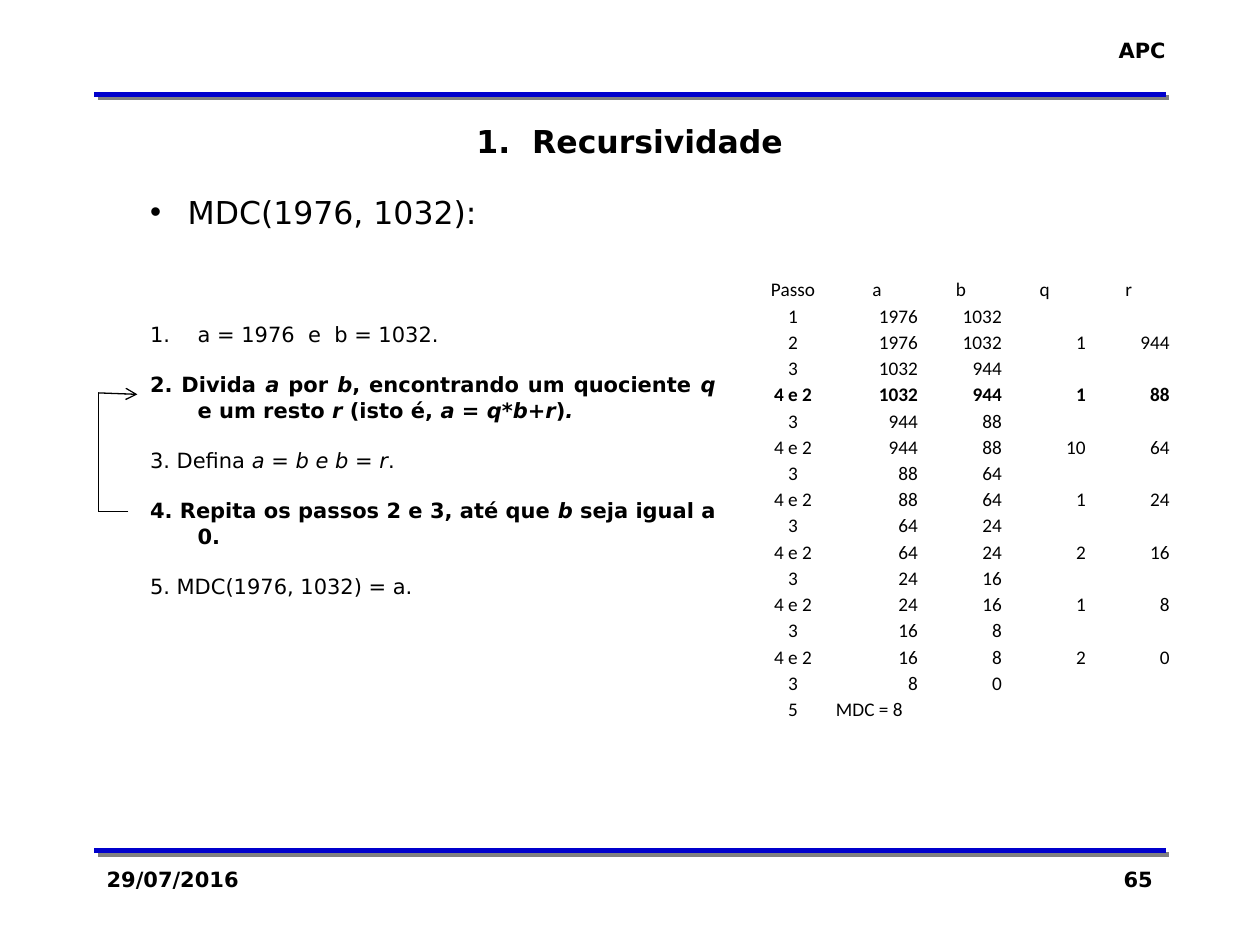
from lxml.etree import SubElement
from pptx import Presentation
from pptx.dml.color import RGBColor
from pptx.enum.shapes import MSO_CONNECTOR
from pptx.enum.text import MSO_ANCHOR, MSO_AUTO_SIZE, PP_ALIGN
from pptx.oxml.ns import qn
from pptx.util import Cm, Pt

BLACK, BLUE, GREY = "000000", "0000CC", "808080"
HEADING_FONT, TABLE_FONT = "DejaVu Sans", "Calibri"
LEFT, RIGHT = 1.9, 23.5
STEP_INDENT = 0.96

# Underscores enclose the variables set in italics.
STEPS = [
    ("a = 1976  e  b = 1032.", False),
    ("2. Divida _a_ por _b_, encontrando um quociente _q_ e um resto _r_"
     " (isto é, _a = q*b+r_)_._", True),
    ("3. Defina _a = b e b = r_.", False),
    ("4. Repita os passos 2 e 3, até que _b_ seja igual a 0.", True),
    ("5. MDC(1976, 1032) = a.", False),
]


def color(value):
    return RGBColor.from_string(value)


def format_paragraph(paragraph, size, align, bold=False, name=HEADING_FONT):
    paragraph.alignment = align
    font = paragraph.font
    font.size, font.bold, font.name = Pt(size), bold, name
    font.color.rgb = color(BLACK)


def place(shape, left, top, width, height):
    shape.left, shape.top = Cm(left), Cm(top)
    shape.width, shape.height = Cm(width), Cm(height)


def add_line(slide, start, end, line_color, width):
    """Draw a straight line without shadow and return its properties."""
    line = slide.shapes.add_connector(
        MSO_CONNECTOR.STRAIGHT, *(Cm(value) for value in start + end))
    line.line.color.rgb = color(line_color)
    line.line.width = Pt(width)
    properties = line._element.spPr
    SubElement(properties, qn("a:effectLst"))
    return properties


def add_rule(slide, y):
    properties = add_line(slide, (LEFT, y), (RIGHT, y), BLUE, 3)
    shadow = SubElement(properties.find(qn("a:effectLst")), qn("a:outerShdw"),
                        dist=str(Pt(2.8)), dir="2700000", algn="ctr", rotWithShape="0")
    SubElement(shadow, qn("a:srgbClr"), val=GREY)


def add_label(slide, text, box, align, wrap=True):
    label = slide.shapes.add_textbox(*(Cm(value) for value in box))
    label.text_frame.word_wrap = wrap
    label.text_frame.text = text
    format_paragraph(label.text_frame.paragraphs[0], 12, align, bold=True)


def fill_title(title):
    place(title, LEFT, 2.34, 21.59, 1.02)
    frame = title.text_frame
    frame.text = "1.  Recursividade"
    frame.auto_size = MSO_AUTO_SIZE.NONE
    frame.vertical_anchor = MSO_ANCHOR.TOP
    format_paragraph(frame.paragraphs[0], 18, PP_ALIGN.CENTER, bold=True)


def set_marker(paragraph, tag, indent, **attributes):
    """Give the paragraph a hanging indent in cm and a bullet element."""
    properties = paragraph._p.get_or_add_pPr()
    properties.set("marL", str(Cm(indent)))
    properties.set("indent", str(-Cm(indent)))
    SubElement(properties, qn(tag), **attributes)


def fill_steps(body):
    place(body, 2.77, 3.76, 11.91, 9.32)
    frame = body.text_frame
    frame.auto_size = MSO_AUTO_SIZE.NONE
    heading = frame.paragraphs[0]
    heading.text = "MDC(1976, 1032):"
    heading.space_before = Pt(0)
    set_marker(heading, "a:buChar", 0.76, char="•")
    format_paragraph(heading, 18, PP_ALIGN.JUSTIFY)
    for index, (text, bold) in enumerate(STEPS):
        step = frame.add_paragraph()
        step.space_before = Pt(14.4 if index else 52)
        if index == 0:
            set_marker(step, "a:buAutoNum", STEP_INDENT, type="arabicPeriod")
        else:
            set_marker(step, "a:buNone", STEP_INDENT)
        format_paragraph(step, 12, PP_ALIGN.JUSTIFY, bold)
        for position, part in enumerate(text.split("_")):
            if part:
                run = step.add_run()
                run.text = part
                if position % 2:
                    run.font.italic = True


def euclid_rows(a, b):
    """Trace the algorithm, one table row for each step."""
    rows = [("Passo", "a", "b", "q", "r"), ("1", a, b, "", "")]
    label = "2"
    while b:
        quotient, remainder = divmod(a, b)
        rows.append((label, a, b, quotient, remainder))
        a, b = b, remainder
        rows.append(("3", a, b, "", ""))
        label = "4 e 2"
    return rows + [("5", f"MDC = {a}", "", "", ""), ("",) * 5]


def cell_alignment(row, column, value):
    if row == 0 or column == 0:
        return PP_ALIGN.CENTER
    return PP_ALIGN.RIGHT if isinstance(value, int) else PP_ALIGN.LEFT


def add_trace_table(slide, rows, bold_row):
    table = slide.shapes.add_table(
        len(rows), 5, Cm(15.14), Cm(5.56), Cm(8.46), Cm(9.53)).table
    table.first_row = table.horz_banding = False
    for row, values in enumerate(rows):
        for column, value in enumerate(values):
            cell = table.cell(row, column)
            cell.fill.background()
            cell.vertical_anchor = MSO_ANCHOR.BOTTOM
            cell.margin_left = cell.margin_right = cell.margin_top = Cm(0.02)
            cell.margin_bottom = 0
            cell.text = str(value)
            paragraph = cell.text_frame.paragraphs[0]
            format_paragraph(paragraph, 11, cell_alignment(row, column, value),
                             row == bold_row, TABLE_FONT)
            if value == "":
                SubElement(paragraph._p, qn("a:endParaRPr"), sz="1100")


def add_loop_arrow(slide):
    """Lead from step 4 back to step 2."""
    corners = [(2.59, 10.31), (1.98, 10.31), (1.98, 7.92), (2.77, 7.95)]
    for start, end in zip(corners, corners[1:]):
        properties = add_line(slide, start, end, BLACK, 0.75)
    SubElement(properties.find(qn("a:ln")), qn("a:tailEnd"), type="arrow")


def main():
    presentation = Presentation()
    presentation.slide_width, presentation.slide_height = Cm(25.4), Cm(19.05)
    slide = presentation.slides.add_slide(presentation.slide_layouts[1])
    for y in (17.15, 1.9):
        add_rule(slide, y)
    add_label(slide, "APC", (22.28, 0.64, 1.47, 0.76), PP_ALIGN.RIGHT, wrap=False)
    add_label(slide, "29/07/2016", (LEFT, 17.35, 5.28, 1.27), PP_ALIGN.LEFT)
    add_label(slide, "65", (18.21, 17.35, 5.28, 1.27), PP_ALIGN.RIGHT)
    fill_title(slide.shapes.title)
    fill_steps(slide.placeholders[1])
    add_trace_table(slide, euclid_rows(1976, 1032), bold_row=4)
    add_loop_arrow(slide)
    presentation.save("out.pptx")


if __name__ == "__main__":
    main()
